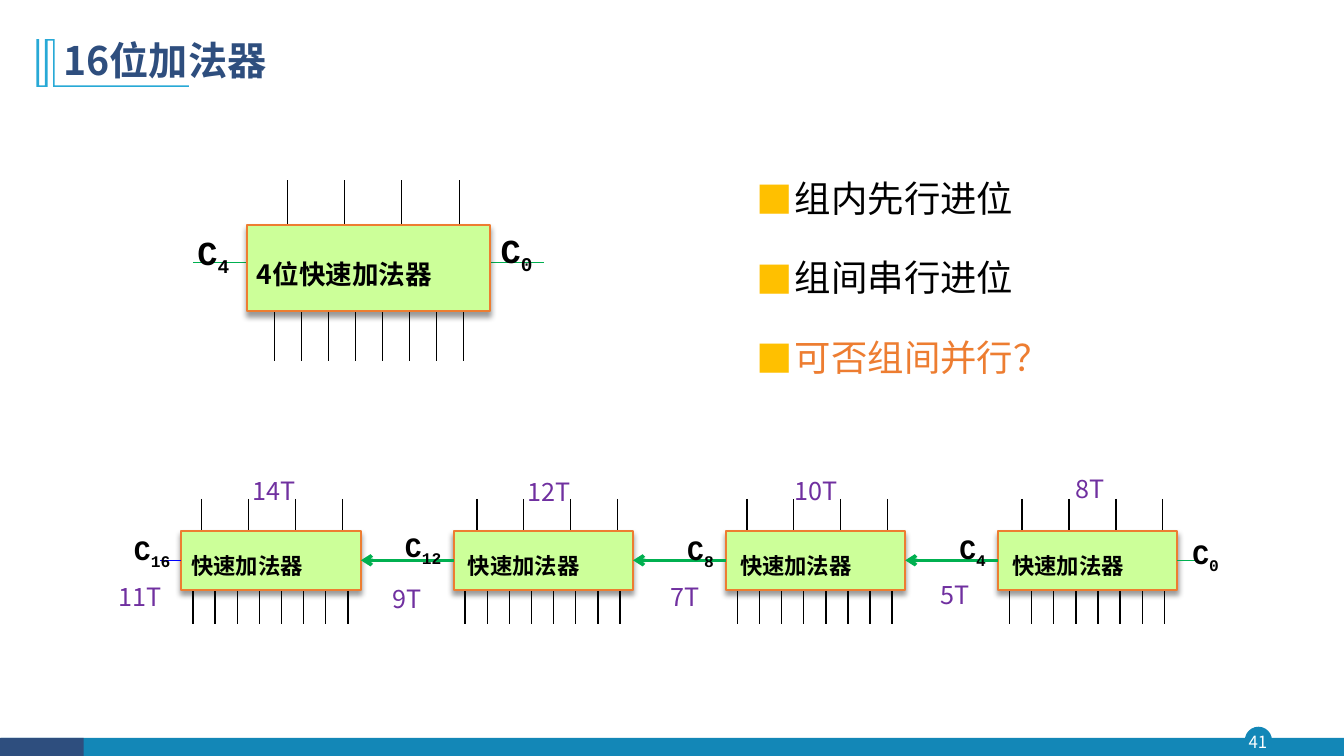
import pptx
import pptx.util
import pptx.dml.color
import pptx.enum.shapes
import pptx.enum.text
import pptx.oxml.ns
from lxml import etree

Pt = pptx.util.Pt
RGB = pptx.dml.color.RGBColor
KIND = pptx.enum.shapes.MSO_SHAPE
ALIGN = pptx.enum.text.PP_ALIGN
MID = pptx.enum.text.MSO_ANCHOR.MIDDLE
qn = pptx.oxml.ns.qn

TEAL = RGB(0x13, 0x87, 0xB7)
NAVY = RGB(0x2E, 0x4E, 0x7E)
SKY = RGB(0x28, 0xA9, 0xD6)
LIME = RGB(0xCC, 0xFF, 0x99)
ORANGE = RGB(0xED, 0x7D, 0x31)
GREEN = RGB(0x00, 0xB0, 0x50)
BLUE = RGB(0x00, 0x00, 0xFF)
PURPLE = RGB(0x70, 0x30, 0xA0)
BLACK = RGB(0, 0, 0)
WHITE = RGB(0xFF, 0xFF, 0xFF)
SANS = "Noto Sans CJK SC"
MONO = "Courier New"

deck = pptx.Presentation()
deck.slide_width = Pt(960)
deck.slide_height = Pt(540)
slide = deck.slides.add_slide(deck.slide_layouts[1])
shapes = slide.shapes


def style(par, size, color, face=SANS, bold=False):
    par.font.size = Pt(size)
    par.font.bold = bold
    par.font.name = face
    par.font.color.rgb = color
    props = par._p.pPr.find(qn("a:defRPr"))
    etree.SubElement(props, qn("a:ea"), typeface=face)


def line(x1, y1, x2, y2, color, width):
    wire = shapes.add_connector(
        pptx.enum.shapes.MSO_CONNECTOR.STRAIGHT, Pt(x1), Pt(y1), Pt(x2), Pt(y2))
    wire.line.color.rgb = color
    wire.line.width = Pt(width)
    etree.SubElement(wire._element.spPr, qn("a:effectLst"))
    return wire


for kind, x, y, w, h, color in [
    (KIND.OVAL, 889.2, 519.1, 19.4, 19.4, TEAL),
    (KIND.RECTANGLE, 0.7, 527, 959.3, 13, TEAL),
    (KIND.RECTANGLE, 0, 527, 59.8, 13, NAVY),
]:
    part = shapes.add_shape(kind, Pt(x), Pt(y), Pt(w), Pt(h))
    part.shadow.inherit = False
    part.fill.solid()
    part.fill.fore_color.rgb = color
    part.line.fill.background()

page = shapes.add_textbox(Pt(887), Pt(519), Pt(23), Pt(22.3)).text_frame
page.margin_left = page.margin_right = page.margin_top = page.margin_bottom = 0
page.vertical_anchor = MID
page.word_wrap = True
page.text = "41"
page.paragraphs[0].alignment = ALIGN.CENTER
style(page.paragraphs[0], 12, WHITE)

edge = [(38.9, 28.1), (38.9, 61.2), (134.9, 61.2), (134.9, 62.3), (37.7, 62.3),
        (37.7, 29.3), (33.8, 29.3), (33.8, 62.3), (25.9, 62.3), (25.9, 28.1),
        (28.1, 28.1), (28.1, 60.7), (31.7, 60.7), (31.7, 28.1)]
pen = shapes.build_freeform(edge[0][0], edge[0][1], scale=12700)
pen.add_line_segments(edge[1:], close=True)
mark = pen.convert_to_shape()
mark.shadow.inherit = False
mark.fill.solid()
mark.fill.fore_color.rgb = SKY
mark.line.fill.background()

title = shapes.title
title.left, title.top, title.width, title.height = Pt(38.2), Pt(20.2), Pt(828), Pt(49)
title.text_frame.text = "16位加法器"
title.text_frame.vertical_anchor = MID
title.text_frame.auto_size = pptx.enum.text.MSO_AUTO_SIZE.NONE
head = title.text_frame.paragraphs[0]
head.alignment = ALIGN.LEFT
head.line_spacing = 0.9
style(head, 28, NAVY, bold=True)

body = slide.placeholders[1]
body.left, body.top, body.width, body.height = Pt(533.5), Pt(96.5), Pt(308.2), Pt(178.6)
body.text_frame.auto_size = pptx.enum.text.MSO_AUTO_SIZE.NONE
body.text_frame.margin_top = Pt(13.6)
body.text_frame.text = "组内先行进位\n组间串行进位\n可否组间并行？"
for row, par in enumerate(body.text_frame.paragraphs):
    par.alignment = ALIGN.JUSTIFY
    par.line_spacing = 1.5
    par.space_before = Pt(10 if row else 0)
    props = par._p.pPr
    props.set("marL", str(Pt(27)))
    props.set("indent", str(Pt(-27)))
    tint = etree.SubElement(props, qn("a:buClr"))
    etree.SubElement(tint, qn("a:srgbClr"), val="FFC000")
    etree.SubElement(props, qn("a:buFont"), typeface=SANS)
    etree.SubElement(props, qn("a:buChar"), char="■")
    style(par, 26, ORANGE if row == 2 else BLACK)

line(350.2, 187.2, 388.8, 187.2, GREEN, 0.75)
line(138.2, 187.2, 176.4, 187.2, GREEN, 0.75)

units = [("4位快速加法器", 19, 176.4, 160.6, 173.5, 61.9, 7.2, 28.8, 40.9, 19.4, 19.35, 31.7, 35.3, 0.75)]
for num, (inset, lead) in enumerate([(7.2, 14.4), (10.2, 16.6), (10.2, 15.1), (10.2, 17.3)]):
    units.append(("快速加法器", 16, 129.6 + 194.4 * num, 379, 128.2, 42.5,
                  inset, lead, 33.5, 8.3, 15.8, 22.6, 24.2, 1))

blocks = []
for text, size, x, y, w, h, inset, lead, gap, start, step, rise, drop, width in units:
    for num in range(4):
        line(x + lead + gap * num, y - rise, x + lead + gap * num, y, BLACK, width)
    for num in range(8):
        line(x + start + step * num, y + h, x + start + step * num, y + h + drop, BLACK, width)
    block = shapes.add_shape(KIND.RECTANGLE, Pt(x), Pt(y), Pt(w), Pt(h))
    block.shadow.inherit = False
    glow = etree.SubElement(
        block._element.spPr.find(qn("a:effectLst")), qn("a:outerShdw"),
        blurRad=str(Pt(4)), dist=str(Pt(3)), dir="5400000", algn="t", rotWithShape="0")
    shade = etree.SubElement(glow, qn("a:srgbClr"), val="000000")
    etree.SubElement(shade, qn("a:alpha"), val="40000")
    block.fill.solid()
    block.fill.fore_color.rgb = LIME
    block.line.color.rgb = ORANGE
    block.line.width = Pt(1.5)
    frame = block.text_frame
    frame.word_wrap = True
    frame.vertical_anchor = MID
    frame.margin_left = Pt(inset)
    frame.margin_top = Pt(3.6 + 0.2 * size)
    frame.text = text
    par = frame.paragraphs[0]
    par.alignment = ALIGN.LEFT
    par.line_spacing = 1.2
    style(par, size, BLACK, bold=True)
    blocks.append(block)

chain = blocks[1:]
for left, right in zip(chain, chain[1:]):
    carry = line(0, 0, 0, 0, GREEN, 2.5)
    carry.begin_connect(left, 3)
    carry.end_connect(right, 1)
    etree.SubElement(carry.line._get_or_add_ln(), qn("a:headEnd"), type="arrow")
line(114.5, 400.25, 129.6, 400.25, BLUE, 1).end_connect(chain[0], 1)
line(841, 400.25, 853.9, 400.25, GREEN, 1).begin_connect(chain[-1], 3)

for text, sub, size, x, y, w, h in [
    ("C", "4", 24, 133.9, 150.5, 47.5, 39.6),
    ("C", "0", 24, 350.6, 149, 49.7, 31),
    ("C", "16", 20, 88.6, 367.2, 48.2, 29.5),
    ("C", "12", 20, 282.2, 365, 53.3, 29.5),
    ("C", "8", 20, 483.8, 367.2, 38.9, 31),
    ("C", "4", 20, 678.2, 366.5, 38.9, 27.4),
    ("C", "0", 20, 844.6, 370.1, 41, 21.6),
    ("5T", "", 18, 664.6, 402.5, 46.8, 25.9),
    ("8T", "", 18, 761, 326.9, 46.8, 25.9),
    ("7T", "", 18, 471.6, 403.9, 46.8, 25.9),
    ("10T", "", 18, 560.2, 328.3, 46.8, 25.9),
    ("9T", "", 18, 273.6, 405.4, 46.8, 25.9),
    ("12T", "", 18, 369.4, 329, 46.8, 25.9),
    ("11T", "", 18, 77.8, 403.9, 46.8, 25.9),
    ("14T", "", 18, 173.5, 328.3, 46.8, 25.9),
]:
    frame = shapes.add_textbox(Pt(x), Pt(y), Pt(w), Pt(h)).text_frame
    frame.word_wrap = True
    frame.margin_top = Pt(3.6 + 0.2 * size)
    frame.text = text
    par = frame.paragraphs[0]
    par.line_spacing = 1.2
    if sub:
        run = par.add_run()
        run.text = sub
        run._r.get_or_add_rPr().set("baseline", "-25000")
        style(par, size, BLACK, MONO, True)
    else:
        style(par, size, PURPLE)

deck.save("out.pptx")
